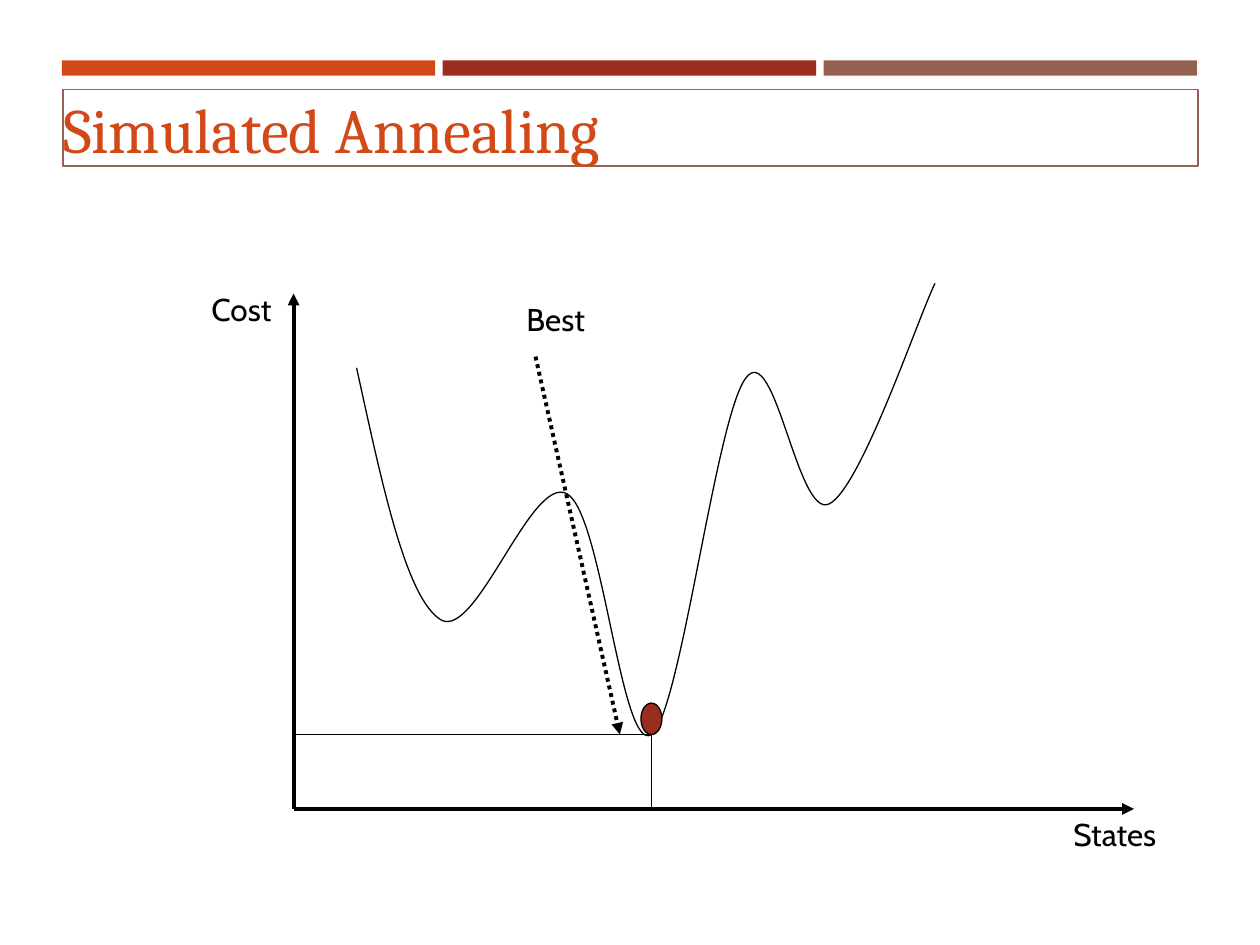
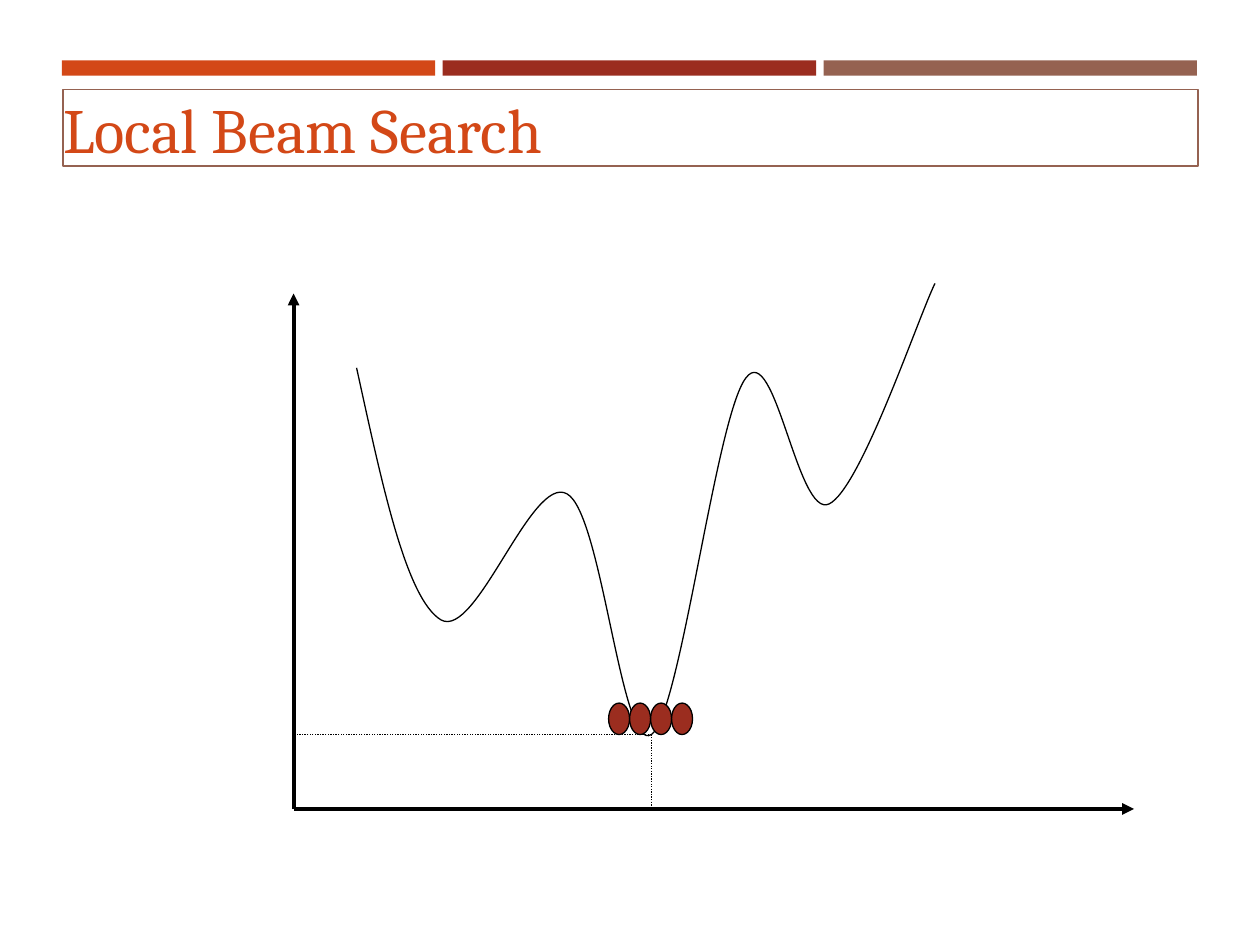
from lxml import etree
from pptx import Presentation
from pptx.dml.color import RGBColor
from pptx.enum.dml import MSO_LINE_DASH_STYLE as DASH
from pptx.enum.shapes import MSO_CONNECTOR, MSO_SHAPE
from pptx.enum.text import MSO_ANCHOR, PP_ALIGN
from pptx.oxml.ns import qn
from pptx.util import Inches, Pt

COLORS = {"orange": "D34817", "red": "9B2D1F", "brown": "956251", "black": "000000"}
TITLE_FONT, LABEL_FONT = "Cambria", "Cabin"

# Boxes: left, top, width, height in inches
BAND_BOX = (0.49, 0.48, 9.01, 0.12)
TITLE_BOX = (0.5, 0.71, 9.01, 0.61)
PLOT_BOX = (2.33, 2.25, 6.67, 4.17)

# Cost curve inside the plot: a start, then two controls and an end per segment
CURVE = [
    (0.5, 0.67),
    (0.7, 1.58), (0.89, 2.5), (1.17, 2.67),
    (1.45, 2.83), (1.89, 1.51), (2.17, 1.67),
    (2.45, 1.82), (2.6, 3.74), (2.84, 3.58),
    (3.07, 3.43), (3.35, 1.06), (3.59, 0.75),
    (3.82, 0.44), (4.0, 1.87), (4.25, 1.75),
    (4.5, 1.63), (4.95, 0.29), (5.09, 0),
]
MINIMUM = (2.84, 3.58)
BALL_W, BALL_H = 1 / 6, 0.25


def rgb(name):
    return RGBColor.from_string(COLORS[name])


def add_shape(s, kind, box, fill=None, line=None, width=0.75):
    sp = s.shapes.add_shape(kind, *map(Inches, box))
    sp.shadow.inherit = False
    if fill:
        sp.fill.solid()
        sp.fill.fore_color.rgb = rgb(fill)
    else:
        sp.fill.background()
    if line:
        sp.line.color.rgb = rgb(line)
        sp.line.width = Pt(width)
    else:
        sp.line.fill.background()
    return sp


def write(sp, text, font, size, color):
    p = sp.text_frame.paragraphs[0]
    p.text = text
    p.alignment = PP_ALIGN.LEFT
    p.font.name, p.font.size = font, Pt(size)
    p.font.color.rgb = rgb(color)


def add_line(s, start, end, width=0.75, dash=None, arrow=False):
    """Draw a line between two points given relative to the plot."""
    x, y = PLOT_BOX[:2]
    ends = [Inches(v) for px, py in (start, end) for v in (x + px, y + py)]
    cn = s.shapes.add_connector(MSO_CONNECTOR.STRAIGHT, *ends)
    cn.line.color.rgb = rgb("black")
    cn.line.width = Pt(width)
    if dash:
        cn.line.dash_style = dash
    if arrow:
        etree.SubElement(cn.line._get_or_add_ln(), qn("a:tailEnd"), type="triangle")
    etree.SubElement(cn._element.spPr, qn("a:effectLst"))


def add_header(s, title):
    # Three-part colour band
    x, y, w, h = BAND_BOX
    gap = 0.06
    part = (w - 2 * gap) / 3
    for i, color in enumerate(("orange", "red", "brown")):
        add_shape(s, MSO_SHAPE.RECTANGLE, (x + i * (part + gap), y, part, h), color)

    # Framed title
    sp = add_shape(s, MSO_SHAPE.RECTANGLE, TITLE_BOX, line="brown", width=1)
    tf = sp.text_frame
    tf.margin_left = tf.margin_right = tf.margin_top = tf.margin_bottom = 0
    tf.vertical_anchor = MSO_ANCHOR.MIDDLE
    tf.word_wrap = True
    write(sp, title, TITLE_FONT, 36, "orange")


def add_curve(s):
    x, y = PLOT_BOX[:2]
    points = [(Inches(x + px), Inches(y + py)) for px, py in CURVE]
    builder = s.shapes.build_freeform(*points[0])
    builder.add_line_segments(points[1:], close=False)
    sp = builder.convert_to_shape()
    sp.shadow.inherit = False
    sp.fill.background()
    sp.line.color.rgb = rgb("black")
    sp.line.width = Pt(0.75)

    # Turn every three line points into one Bezier segment
    outline = sp._element.find(".//" + qn("a:path"))
    steps = outline.findall(qn("a:lnTo"))
    for i in range(0, len(steps), 3):
        bezier = etree.SubElement(outline, qn("a:cubicBezTo"))
        for step in steps[i:i + 3]:
            bezier.append(step[0])
            outline.remove(step)


def add_plot(s, ball_lefts, guide_dash=None):
    x, y, w, h = PLOT_BOX
    # Axes and cost curve
    add_line(s, (0, h), (0, 0.08), 2.25, arrow=True)
    add_line(s, (0, h), (w, h), 2.25, arrow=True)
    add_curve(s)

    # Search states at the minimum
    for left in ball_lefts:
        box = (x + left, y + MINIMUM[1] - BALL_H, BALL_W, BALL_H)
        add_shape(s, MSO_SHAPE.OVAL, box, "red", "black")

    # Guides from the minimum to both axes
    add_line(s, MINIMUM, (MINIMUM[0], h), dash=guide_dash)
    add_line(s, MINIMUM, (0, MINIMUM[1]), dash=guide_dash)


def add_label(s, text, left, top, width):
    x, y = PLOT_BOX[:2]
    sp = s.shapes.add_textbox(*map(Inches, (x + left, y + top, width, 0.4)))
    sp.text_frame.word_wrap = True
    write(sp, text, LABEL_FONT, 18, "black")


def annealing_slide(s):
    add_header(s, "Simulated Annealing")
    add_plot(s, [MINIMUM[0] - BALL_W / 2])
    add_label(s, "Cost", -0.75, 0, 1.08)
    add_label(s, "States", 6.09, PLOT_BOX[3], 1.17)
    add_label(s, "Best", 1.75, 0.08, 0.83)
    add_line(s, (1.92, 0.58), (2.59, MINIMUM[1]), 2.25, DASH.ROUND_DOT, arrow=True)


def beam_slide(s):
    add_header(s, "Local Beam Search")
    add_plot(s, [2.5 + i * BALL_W for i in range(4)], DASH.ROUND_DOT)


def main():
    prs = Presentation()
    prs.slide_width, prs.slide_height = Inches(10), Inches(7.5)
    for build in (annealing_slide, beam_slide):
        build(prs.slides.add_slide(prs.slide_layouts[6]))
    prs.save("out.pptx")


if __name__ == "__main__":
    main()
